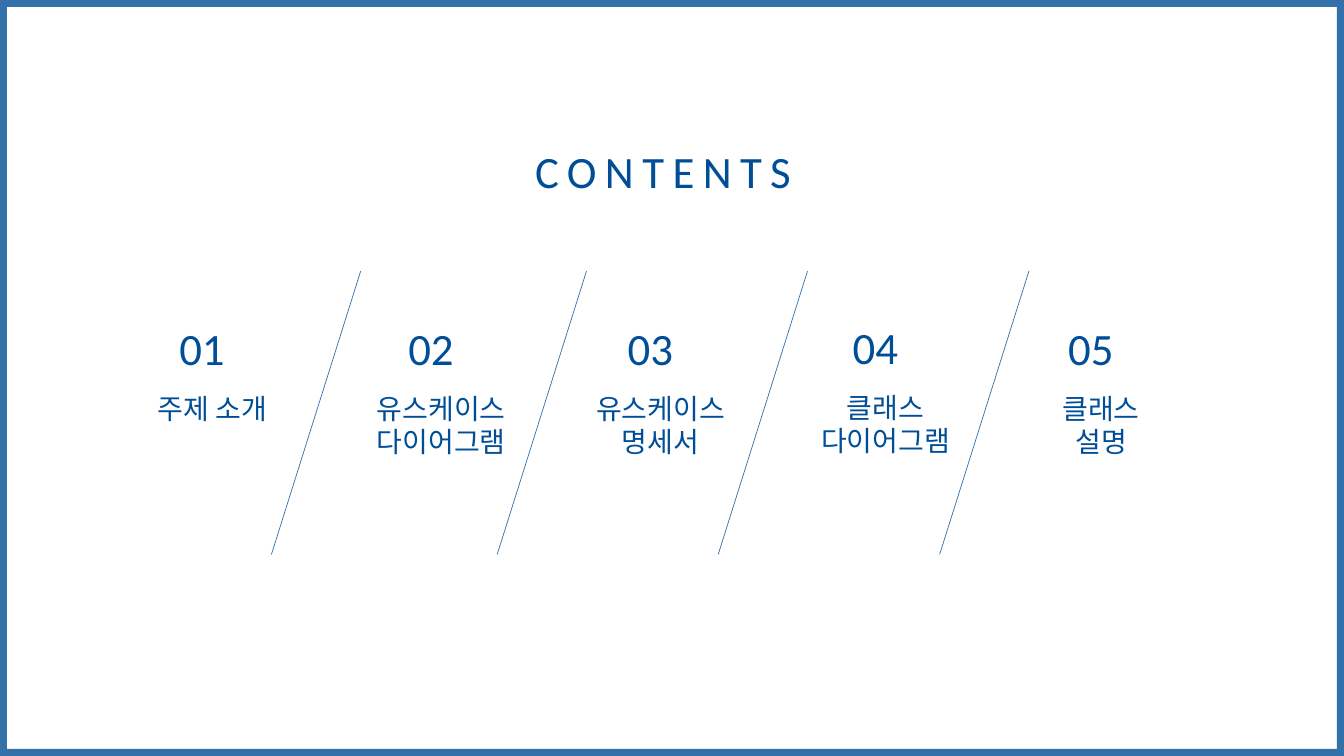
from typing import NamedTuple

from lxml.etree import SubElement
from pptx import Presentation
from pptx.dml.color import RGBColor
from pptx.enum.shapes import MSO_CONNECTOR, MSO_SHAPE
from pptx.enum.text import MSO_AUTO_SIZE, PP_ALIGN
from pptx.oxml import parse_xml
from pptx.oxml.ns import nsdecls, qn
from pptx.util import Cm, Pt

NAVY = RGBColor(0x00, 0x4E, 0x97)
FONT = "Calibri"
SLIDE_W, SLIDE_H = 33.87, 19.05

NUMBER_W, NUMBER_H = 3.1, 1.37
LABEL_W, LABEL_LINE_H = 4.52, 0.85
LABEL_SHIFT, LABEL_DROP = -1.43, 1.78
DIVIDER_TOP, DIVIDER_BOTTOM, DIVIDER_SLANT = 6.83, 13.97, 2.25


class Section(NamedTuple):
    """A numbered entry; left and top place its number, in centimetres."""
    label: str
    left: float
    top: float = 8.08


SECTIONS = [
    Section("주제 소개", 4.52),
    Section("유스케이스\n다이어그램", 10.29),
    Section("유스케이스\n명세서", 15.82),
    Section("클래스\n다이어그램", 21.49, 8.05),
    Section("클래스\n설명", 26.92),
]
DIVIDER_LEFTS = [9.09, 14.78, 20.35, 25.93]


def add_text(slide, text: str, left: float, top: float, width: float,
             height: float, size: int, align: PP_ALIGN):
    """Add a text box without margins and return its runs."""
    sp = slide.shapes.add_textbox(Cm(left), Cm(top), Cm(width), Cm(height))
    tf = sp.text_frame
    tf.margin_left = tf.margin_right = tf.margin_top = tf.margin_bottom = 0
    tf.word_wrap = True
    tf.auto_size = MSO_AUTO_SIZE.SHAPE_TO_FIT_TEXT
    tf.text = text
    runs = []
    for p in tf.paragraphs:
        p.alignment = align
        for r in p.runs:
            r.font.name = FONT
            r.font.size = Pt(size)
            r.font.color.rgb = NAVY
            runs.append(r)
    return runs


def style_line(line, width: float) -> None:
    """Give a line the navy colour at 80 % opacity."""
    line.width = Pt(width)
    line.color.rgb = NAVY
    color = line.fill.fore_color._xFill.find(qn("a:srgbClr"))
    SubElement(color, qn("a:alpha"), val="80000")


def add_title(slide) -> None:
    for r in add_text(slide, "CONTENTS", 3.07, 3.63, 27.28, 1.37, 32, PP_ALIGN.CENTER):
        r.font._element.set("spc", "600")


def add_section(slide, number: int, section: Section) -> None:
    for r in add_text(slide, f"{number:02}", section.left, section.top,
                      NUMBER_W, NUMBER_H, 32, PP_ALIGN.LEFT):
        outline = parse_xml(
            f'<a:ln {nsdecls("a")} w="{Pt(0.75)}"><a:solidFill>'
            f'<a:srgbClr val="{NAVY}"/></a:solidFill></a:ln>')
        r.font._element.insert(0, outline)
    lines = section.label.count("\n") + 1
    add_text(slide, section.label, section.left + LABEL_SHIFT,
             section.top + LABEL_DROP, LABEL_W, LABEL_LINE_H * lines,
             20, PP_ALIGN.CENTER)


def add_divider(slide, left: float) -> None:
    cxn = slide.shapes.add_connector(
        MSO_CONNECTOR.STRAIGHT, Cm(left), Cm(DIVIDER_TOP),
        Cm(left - DIVIDER_SLANT), Cm(DIVIDER_BOTTOM))
    style_line(cxn.line, 0.5)
    SubElement(cxn._element.spPr, qn("a:effectLst"))


def add_border(slide) -> None:
    sp = slide.shapes.add_shape(MSO_SHAPE.RECTANGLE, 0, 0, Cm(SLIDE_W), Cm(SLIDE_H))
    sp.shadow.inherit = False
    sp.fill.background()
    style_line(sp.line, 10)


def main() -> None:
    prs = Presentation()
    prs.slide_width, prs.slide_height = Cm(SLIDE_W), Cm(SLIDE_H)
    slide = prs.slides.add_slide(prs.slide_layouts[6])
    add_title(slide)
    for number, section in enumerate(SECTIONS, start=1):
        add_section(slide, number, section)
    for left in DIVIDER_LEFTS:
        add_divider(slide, left)
    add_border(slide)
    prs.save("out.pptx")


if __name__ == "__main__":
    main()
